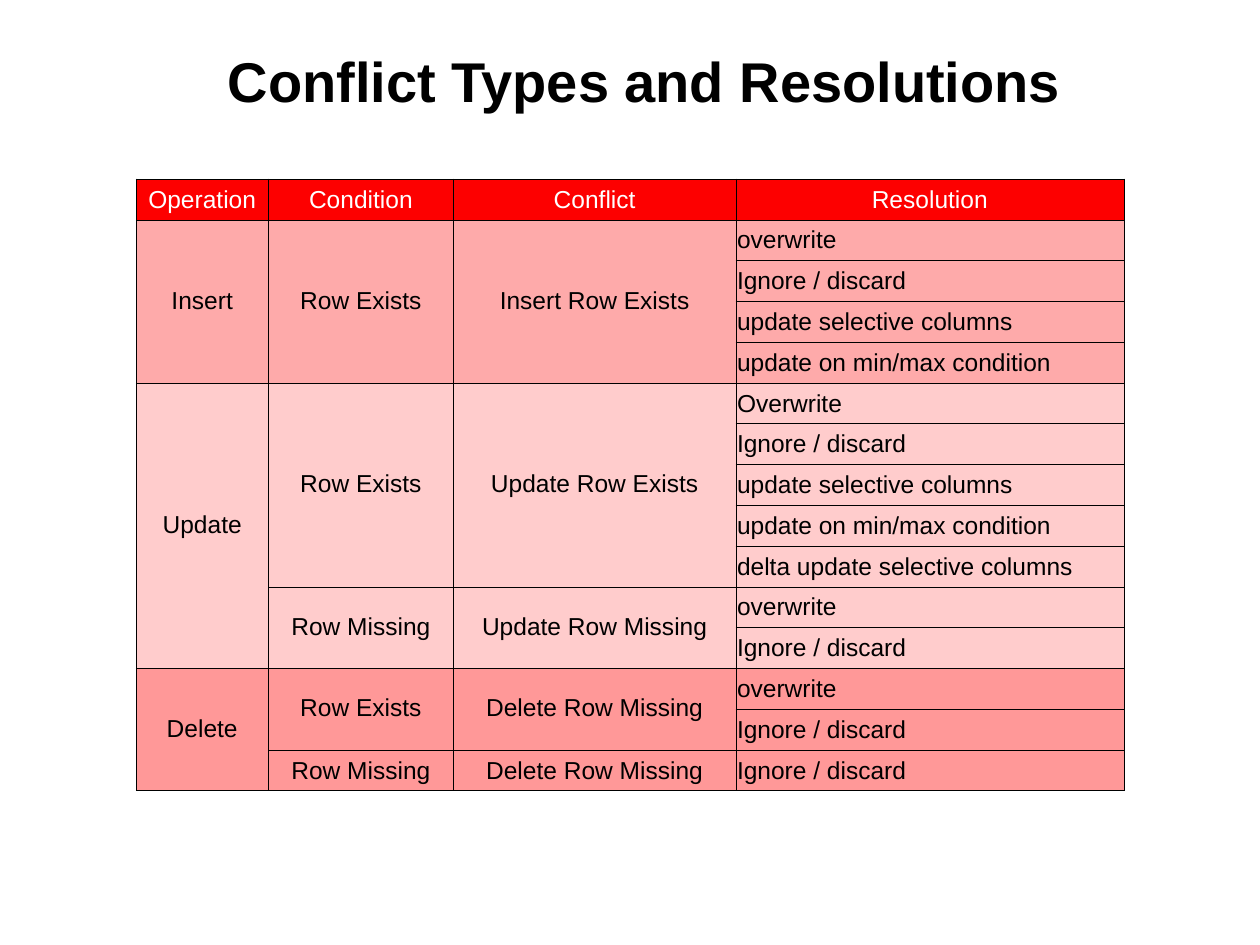
from dataclasses import dataclass
from itertools import product

from lxml.etree import SubElement
from pptx import Presentation
from pptx.dml.color import RGBColor
from pptx.enum.text import MSO_ANCHOR as Anchor, PP_ALIGN as Align
from pptx.oxml.ns import qn
from pptx.util import Inches, Pt


@dataclass(frozen=True)
class Theme:
    font: str = "Arial"
    ink: str = "000000"
    head_ink: str = "FFFFFF"
    head_fill: str = "FD0000"
    title_size: int = 32
    table_size: int = 14
    border: float = 0.23


@dataclass(frozen=True)
class Case:
    condition: str
    conflict: str
    resolutions: tuple[str, ...]


@dataclass(frozen=True)
class Operation:
    name: str
    fill: str
    cases: tuple[Case, ...]


T = Theme()
SLIDE_W, SLIDE_H = Inches(10), Inches(7.5)
TABLE_LEFT, TABLE_TOP, TABLE_H = Inches(1.08), Inches(1.42), Inches(4.79)
COLUMNS = {"Operation": 1.05, "Condition": 1.47, "Conflict": 2.24, "Resolution": 3.08}

DISCARD = "Ignore / discard"
SELECTIVE = ("update selective columns", "update on min/max condition")
OPERATIONS = (
    Operation("Insert", "FEAAAA", (
        Case("Row Exists", "Insert Row Exists", ("overwrite", DISCARD, *SELECTIVE)),
    )),
    Operation("Update", "FFCCCC", (
        Case("Row Exists", "Update Row Exists",
             ("Overwrite", DISCARD, *SELECTIVE, "delta update selective columns")),
        Case("Row Missing", "Update Row Missing", ("overwrite", DISCARD)),
    )),
    Operation("Delete", "FF9898", (
        Case("Row Exists", "Delete Row Missing", ("overwrite", DISCARD)),
        Case("Row Missing", "Delete Row Missing", (DISCARD,)),
    )),
)


def set_all(obj, formats: dict) -> None:
    for name, value in formats.items():
        setattr(obj, name, value)


def write(tf, text: str, size: int, color: str, align: Align, bold: bool = False) -> None:
    p = tf.paragraphs[0]
    p.alignment = align
    r = p.add_run()
    r.text = text
    set_all(r.font, {"name": T.font, "size": Pt(size), "bold": bold})
    r.font.color.rgb = RGBColor.from_string(color)


def style_cell(cell, fill: str) -> None:
    """Give a cell its margins, thin borders and fill, in schema order."""
    set_all(cell, {"margin_left": Inches(0.01), "margin_right": Inches(0.01),
                   "margin_top": Inches(0.04), "margin_bottom": Inches(0.05)})
    tc_pr = cell._tc.get_or_add_tcPr()
    for side in ("lnL", "lnR", "lnT", "lnB"):
        ln = SubElement(tc_pr, qn(f"a:{side}"), w=str(int(Pt(T.border))))
        SubElement(SubElement(ln, qn("a:solidFill")), qn("a:srgbClr"), val=T.ink)
    cell.fill.solid()
    cell.fill.fore_color.rgb = RGBColor.from_string(fill)


def put(table, row: int, col: int, text: str, span: int = 1,
        color: str = T.ink, align: Align = Align.CENTER) -> None:
    """Write a cell that covers span rows."""
    cell = table.cell(row, col)
    if span > 1:
        cell.merge(table.cell(row + span - 1, col))
    cell.vertical_anchor = Anchor.MIDDLE if span > 1 else Anchor.BOTTOM
    write(cell.text_frame, text, T.table_size, color, align)


def add_title(s, text: str) -> None:
    sp = s.shapes.add_textbox(Inches(0.97), Inches(0.33), Inches(8.29), Inches(0.67))
    tf = sp.text_frame
    set_all(tf, {"word_wrap": True, "vertical_anchor": Anchor.TOP, "margin_left": 0,
                 "margin_right": 0, "margin_top": Inches(0.04), "margin_bottom": 0})
    write(tf, text, T.title_size, T.ink, Align.CENTER, bold=True)


def add_conflict_table(s) -> None:
    fills = [T.head_fill] + [op.fill for op in OPERATIONS
                             for case in op.cases for _ in case.resolutions]
    table = s.shapes.add_table(len(fills), len(COLUMNS), TABLE_LEFT, TABLE_TOP,
                               Inches(sum(COLUMNS.values())), TABLE_H).table
    for column, width in zip(table.columns, COLUMNS.values()):
        column.width = Inches(width)
    for row, col in product(range(len(fills)), range(len(COLUMNS))):
        style_cell(table.cell(row, col), fills[row])

    for col, heading in enumerate(COLUMNS):
        put(table, 0, col, heading, color=T.head_ink)
    row = 1
    for op in OPERATIONS:
        put(table, row, 0, op.name, sum(len(case.resolutions) for case in op.cases))
        for case in op.cases:
            span = len(case.resolutions)
            put(table, row, 1, case.condition, span)
            put(table, row, 2, case.conflict, span)
            for resolution in case.resolutions:
                put(table, row, 3, resolution, align=Align.LEFT)
                row += 1


def main() -> None:
    prs = Presentation()
    set_all(prs, {"slide_width": SLIDE_W, "slide_height": SLIDE_H})
    s = prs.slides.add_slide(prs.slide_layouts[6])
    add_title(s, "Conflict Types and Resolutions")
    add_conflict_table(s)
    prs.save("out.pptx")


if __name__ == "__main__":
    main()
